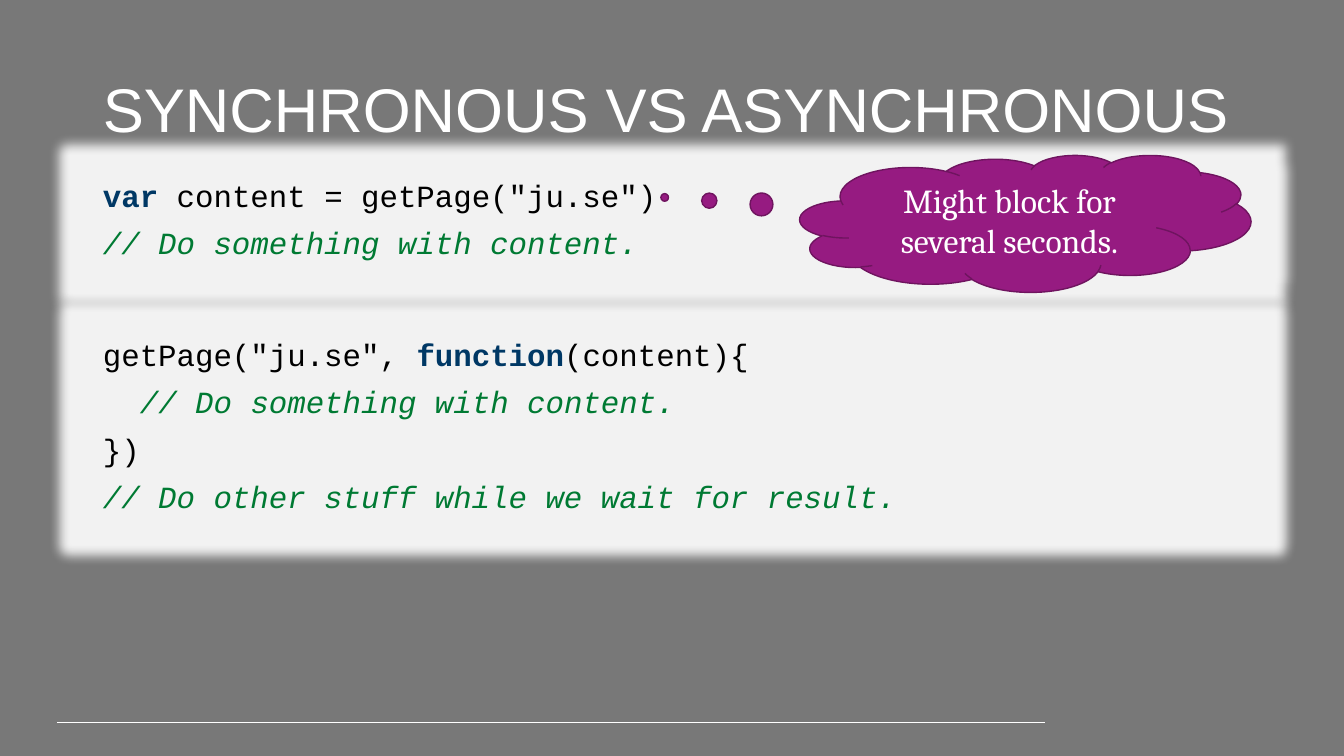
import pptx
import pptx.util
import pptx.dml.color
import pptx.enum.shapes
import pptx.enum.text
import pptx.oxml
import pptx.oxml.ns

RGB = pptx.dml.color.RGBColor
SHAPE = pptx.enum.shapes.MSO_SHAPE
ALIGN = pptx.enum.text.PP_ALIGN
ANCHOR = pptx.enum.text.MSO_ANCHOR

GRAY = RGB(0x78, 0x78, 0x78)
WHITE = RGB(0xFF, 0xFF, 0xFF)
PALE = RGB(0xF2, 0xF2, 0xF2)
BLACK = RGB(0, 0, 0)
NAVY = RGB(0x00, 0x38, 0x65)
GREEN = RGB(0x00, 0x7A, 0x33)
PLUM = RGB(0x96, 0x1B, 0x81)
DARK = RGB(0x6F, 0x14, 0x5F)

SCALE = 9144000 / 1008  # EMU per pixel
LEFT, WIDTH = 93, 1159
TAB = 37  # two code characters
GLOW = 23

# Colour, bold, italic
PLAIN = (BLACK, False, False)
WORD = (NAVY, True, False)
NOTE = (GREEN, False, True)

# Top, height, then lines of (indent, runs)
PANELS = [
    (176, 93, [
        (0, [("var", WORD), (' content = getPage("ju.se")', PLAIN)]),
        (0, [("// Do something with content.", NOTE)]),
    ]),
    (335, 186, [
        (0, [('getPage("ju.se", ', PLAIN), ("function", WORD), ("(content){", PLAIN)]),
        (TAB, [("// Do something with content.", NOTE)]),
        (0, [("})", PLAIN)]),
        (0, [("// Do other stuff while we wait for result.", NOTE)]),
    ]),
]


def px(*sizes):
    """Turn pixel lengths into a list of EMU."""
    return [pptx.util.Emu(round(size * SCALE)) for size in sizes]


def style(para, name, size, color=None):
    """Set the font that all runs of a paragraph share."""
    para.font.name = name
    para.font.size = pptx.util.Pt(size)
    if color is not None:
        para.font.color.rgb = color


deck = pptx.Presentation()
deck.slide_width, deck.slide_height = px(1344, 756)
slide = deck.slides.add_slide(deck.slide_layouts[6])
slide.background.fill.solid()
slide.background.fill.fore_color.rgb = GRAY
shapes = slide.shapes

# Footer rule
rule = shapes.add_connector(
    pptx.enum.shapes.MSO_CONNECTOR.STRAIGHT, *px(57, 723, 1045, 723))
rule.line.color.rgb = WHITE
rule.line.width = pptx.util.Pt(0.75)
pptx.oxml.ns.qn("a:effectLst")
rule._element.spPr.append(
    pptx.oxml.parse_xml("<a:effectLst %s/>" % pptx.oxml.ns.nsdecls("a")))

# Title
title = shapes.add_textbox(*px(LEFT, 40, WIDTH, 146)).text_frame
title.word_wrap = True
title.vertical_anchor = ANCHOR.MIDDLE
para = title.paragraphs[0]
para.text = "SYNCHRONOUS VS ASYNCHRONOUS"
para.line_spacing = 0.9
style(para, "Arial", 44, WHITE)

# Code panels with a soft glow
for top, height, lines in PANELS:
    panel = shapes.add_shape(SHAPE.RECTANGLE, *px(LEFT, top, WIDTH, height))
    panel.fill.solid()
    panel.fill.fore_color.rgb = PALE
    panel.line.fill.background()
    panel._element.spPr.append(pptx.oxml.parse_xml(
        '<a:effectLst %s><a:glow rad="%d"><a:srgbClr val="%s"/></a:glow></a:effectLst>'
        % (pptx.oxml.ns.nsdecls("a"), px(GLOW)[0], PALE)))
    frame = panel.text_frame
    frame.word_wrap = True
    frame.vertical_anchor = ANCHOR.TOP
    for row, (indent, runs) in enumerate(lines):
        para = frame.add_paragraph() if row else frame.paragraphs[0]
        para.alignment = ALIGN.LEFT
        para.line_spacing = 0.9
        para.space_before = pptx.util.Pt(10)
        style(para, "Courier New", 22)
        if indent:
            para._p.get_or_add_pPr().set("marL", str(px(indent)[0]))
        for text, (color, bold, slant) in runs:
            run = para.add_run()
            run.text = text
            run.font.color.rgb = color
            run.font.bold = bold
            run.font.italic = slant

# Thought cloud pointing at the call
cloud = shapes.add_shape(SHAPE.CLOUD_CALLOUT, *px(800, 155, 451, 137))
cloud.adjustments[0] = -0.8
cloud.adjustments[1] = -0.19
cloud.shadow.inherit = False
cloud.fill.solid()
cloud.fill.fore_color.rgb = PLUM
cloud.line.color.rgb = DARK
cloud.line.width = pptx.util.Pt(1)
cloud.text_frame.word_wrap = True
cloud.text_frame.vertical_anchor = ANCHOR.MIDDLE
para = cloud.text_frame.paragraphs[0]
para.text = "Might block for several seconds."
para.alignment = ALIGN.CENTER
style(para, "Cambria", 24, WHITE)

deck.save("out.pptx")
